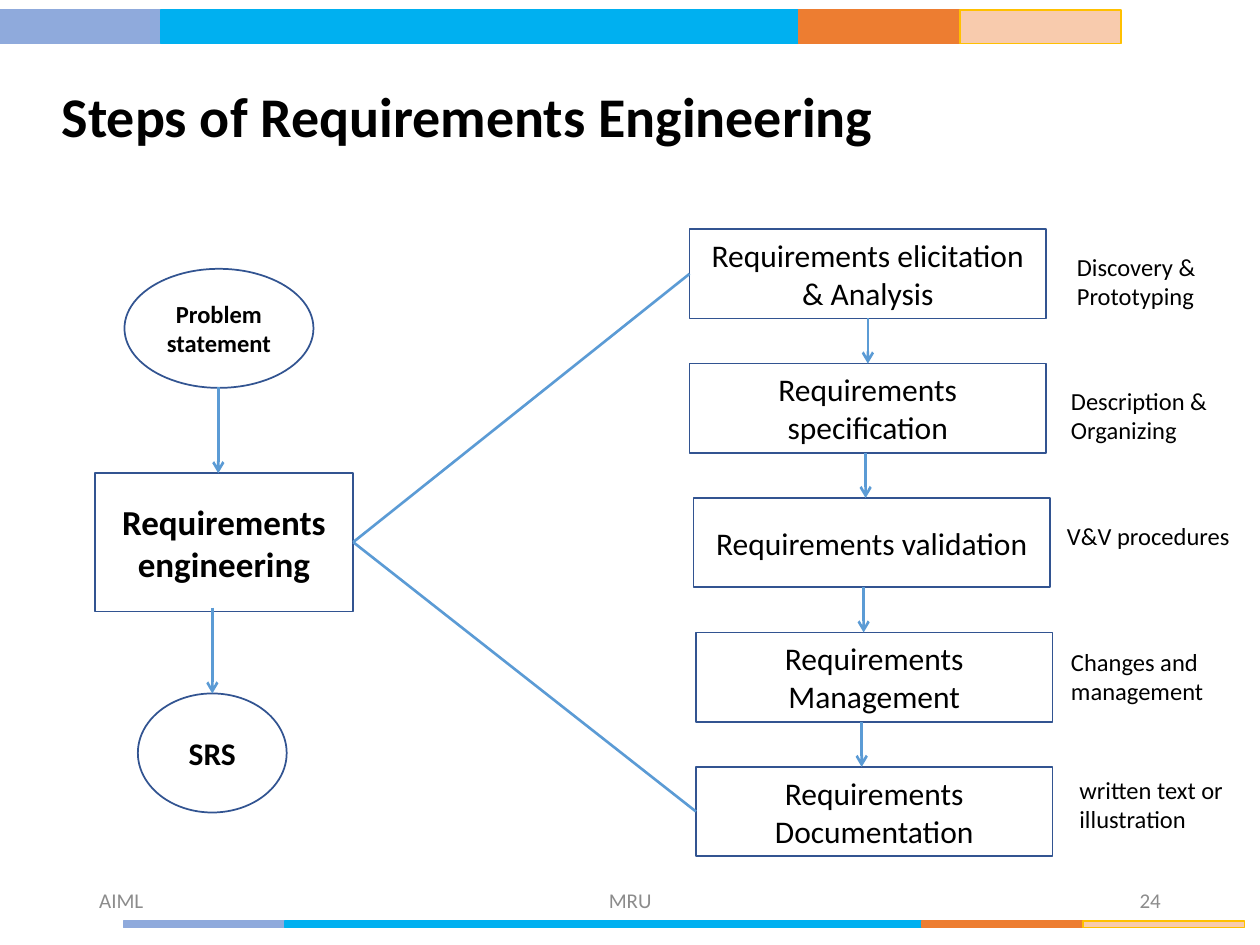
import pptx
import pptx.util
import pptx.dml.color
import pptx.enum.shapes
import pptx.enum.text
import pptx.oxml
import pptx.oxml.ns
from lxml import etree

Cm, Pt = pptx.util.Cm, pptx.util.Pt
SHAPE = pptx.enum.shapes.MSO_SHAPE
ALIGN = pptx.enum.text.PP_ALIGN
ANCHOR = pptx.enum.text.MSO_ANCHOR
BOTTOM, LEFT, TOP, RIGHT = 2, 1, 0, 3

COLORS = {
    "text": "000000", "footer": "8C8C8C", "box": "FFFFFF", "outline": "325491",
    "arrow": "5B9BD5", "periwinkle": "8FAADC", "sky": "00B0F0",
    "orange": "ED7D31", "peach": "F8CBAD", "gold": "FFC000",
}


def rgb(name):
    return pptx.dml.color.RGBColor.from_string(COLORS[name])


def set_text(sp, text, color="text", align=ALIGN.LEFT, anchor=ANCHOR.TOP, wrap=True, **fmt):
    tf = sp.text_frame
    tf.text = text
    tf.word_wrap = wrap
    tf.vertical_anchor = anchor
    p = tf.paragraphs[0]
    p.alignment = align
    font = p.runs[0].font
    for name, value in {"name": "Calibri", "bold": False, **fmt}.items():
        setattr(font, name, value)
    font.color.rgb = rgb(color)


def add_box(s, kind, x, y, w, h, fill="box", line="outline"):
    sp = s.shapes.add_shape(kind, Cm(x), Cm(y), Cm(w), Cm(h))
    sp.shadow.inherit = False
    sp.fill.solid()
    sp.fill.fore_color.rgb = rgb(fill)
    sp.line.color.rgb = rgb(line)
    sp.line.width = Pt(1)
    return sp


def add_node(s, kind, x, y, w, h, text, **fmt):
    sp = add_box(s, kind, x, y, w, h)
    set_text(sp, text, align=ALIGN.CENTER, anchor=ANCHOR.MIDDLE, **fmt)
    return sp


def add_label(s, x, y, w, h, text, **fmt):
    set_text(s.shapes.add_textbox(Cm(x), Cm(y), Cm(w), Cm(h)), text, **fmt)


def add_line(s, x1, y1, x2, y2, arrow=True):
    line = s.shapes.add_connector(
        pptx.enum.shapes.MSO_CONNECTOR.STRAIGHT, Cm(x1), Cm(y1), Cm(x2), Cm(y2))
    line.line.color.rgb = rgb("arrow")
    line.line.width = Pt(1.5)
    if arrow:
        etree.SubElement(line.line._get_or_add_ln(), pptx.oxml.ns.qn("a:tailEnd"), type="arrow")
    etree.SubElement(line._element.spPr, pptx.oxml.ns.qn("a:effectLst"))
    return line


def add_stripe(s, x, y, h):
    """Four-colour stripe, 22.6 cm long."""
    for dx, w, fill, line in [
        (0, 3.25, "periwinkle", "periwinkle"),
        (3.25, 12.85, "sky", "sky"),
        (16.1, 3.25, "orange", "orange"),
        (19.35, 3.25, "peach", "gold"),
    ]:
        add_box(s, SHAPE.RECTANGLE, x + dx, y, w, h, fill, line)


def add_title(s, x, y, w, h):
    sp = s.shapes.title
    sp.left, sp.top, sp.width, sp.height = Cm(x), Cm(y), Cm(w), Cm(h)
    set_text(sp, "Steps of Requirements Engineering", wrap=False, size=Pt(32), bold=True)


def add_footer(s, x, y, w, h):
    for dx, part, text, align in [
        (0, 5.72, "AIML", ALIGN.LEFT),
        (6.67, 8.57, "MRU", ALIGN.CENTER),
        (w - 5.72, 5.72, "24", ALIGN.RIGHT),
    ]:
        add_label(s, x + dx, y, part, h, text, color="footer", align=align,
                  anchor=ANCHOR.MIDDLE, size=Pt(12))


def add_process(s, x, y):
    """Problem statement, engineering, SRS; returns the engineering box."""
    add_node(s, SHAPE.OVAL, x + 0.6, y, 3.81, 2.4, "Problem statement", size=Pt(14), bold=True)
    engine = add_node(s, SHAPE.RECTANGLE, x, y + 4.11, 5.21, 2.8,
                      "Requirements engineering", size=Pt(20), bold=True)
    add_node(s, SHAPE.OVAL, x + 0.87, y + 8.56, 3, 2.4, "SRS", size=Pt(18), bold=True)
    for dx, dy in [(2.49, 2.39), (2.37, 6.83)]:
        add_line(s, x + dx, y + dy, x + dx, y + dy + 1.73)
    return engine


def add_steps(s, x, y):
    """Column of steps with notes beside them; returns the step boxes."""
    w, h, pitch = 7.19, 1.8, 2.71
    steps = [  # step, shift, note, note offsets
        ("Requirements elicitation & Analysis", 0, "Discovery & Prototyping", 7.56, 0.33),
        ("Requirements specification", 0, "Description & Organizing", 7.44, 0.32),
        ("Requirements validation", 0.08, "V&V procedures", 7.36, 0.33),
        ("Requirements Management", 0.13, "Changes and management", 7.44, 0.17),
        ("Requirements Documentation", 0.13, "written text or illustration", 7.61, 0.03),
    ]
    boxes = []
    for i, (step, shift, note, dx, dy) in enumerate(steps):
        top = y + i * pitch
        boxes.append(add_node(s, SHAPE.RECTANGLE, x + shift, top, w, h, step, size=Pt(18)))
        add_label(s, x + dx, top + dy, 4.1, 1.45, note, size=Pt(14))

    # Arrows down the column, drifting slightly left
    for i, dx in enumerate([3.6, 3.55, 3.51, 3.47]):
        top = y + i * pitch + h
        arrow = add_line(s, x + dx, top, x + dx, top + pitch - h)
        if i == 0:
            arrow.begin_connect(boxes[0], BOTTOM)
            arrow.end_connect(boxes[1], TOP)
    return boxes


def main():
    prs = pptx.Presentation()
    prs.slide_width, prs.slide_height = Cm(25.4), Cm(19.05)
    s = prs.slides.add_slide(prs.slide_layouts[5])

    # Frame
    add_stripe(s, 3.25 - 0.76, 18.57, 0.13)
    add_stripe(s, 0, 0.2, 0.68)
    add_footer(s, 1.75, 17.65, 21.9, 1.01)
    add_title(s, 0.99, 1.52, 17.27, 1.63)

    # Diagram
    engine = add_process(s, 1.91, 5.42)
    boxes = add_steps(s, 13.9, 4.62)

    # Fan from engineering to the first and last step
    for box in (boxes[0], boxes[-1]):
        line = add_line(s, 0, 0, 1, 1, arrow=False)
        line.begin_connect(engine, RIGHT)
        line.end_connect(box, LEFT)

    prs.save("out.pptx")


if __name__ == "__main__":
    main()
